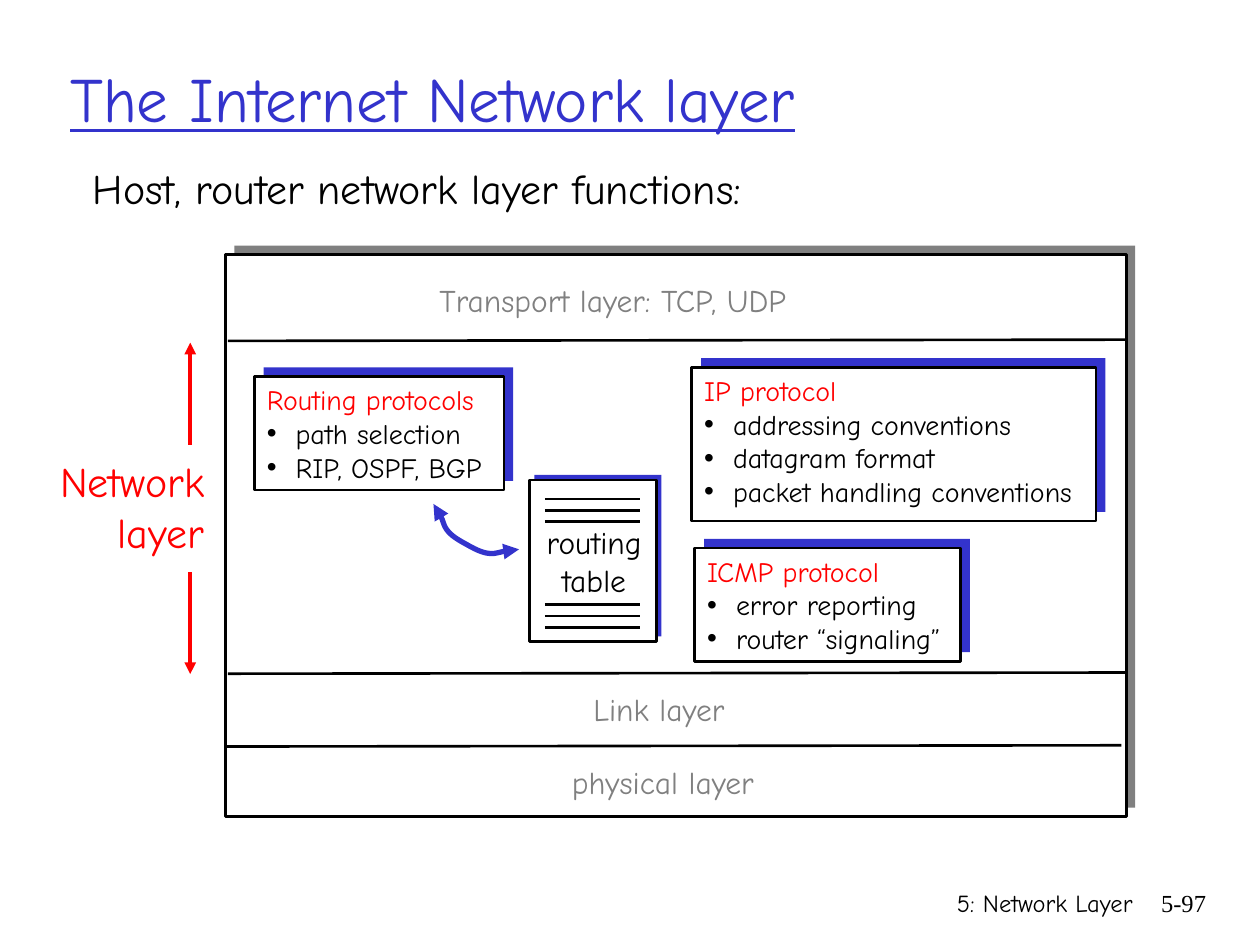
from pptx import Presentation, util as u
from pptx.dml.color import RGBColor
from pptx.enum import shapes, text
from pptx.oxml.ns import qn
from lxml import etree

COLORS = {"ink": "000000", "paper": "FFFFFF", "blue": "3333CC", "red": "FF0000", "gray": "808080"}
LEFT, CENTER, RIGHT = text.PP_ALIGN.LEFT, text.PP_ALIGN.CENTER, text.PP_ALIGN.RIGHT


class SlideMaker:
    """Draw the elements of one slide in a shared style, with lengths in points."""

    font = "Comic Neue"

    def __init__(self, slide):
        self.slide = slide
        self.shapes = slide.shapes

    def color(self, name):
        return RGBColor.from_string(COLORS[name])

    def style(self, para, size, color, align=LEFT, font=None):
        para.alignment = align
        for span in para.runs:
            span.font.size = u.Pt(size)
            span.font.name = font or self.font
            span.font.color.rgb = self.color(color)

    def title(self, words, left, top, width, height):
        box = self.shapes.title
        box.left, box.top, box.width, box.height = map(u.Pt, (left, top, width, height))
        frame = box.text_frame
        frame.text = words
        frame.auto_size = text.MSO_AUTO_SIZE.NONE
        frame.vertical_anchor = text.MSO_ANCHOR.MIDDLE
        self.style(frame.paragraphs[0], 36, "blue")
        frame.paragraphs[0].runs[0].font.underline = True

    def label(self, words, left, top, width, height, size, color="ink", align=LEFT, font=None):
        box = self.shapes.add_textbox(*map(u.Pt, (left, top, width, height)))
        frame = box.text_frame
        frame.word_wrap = True
        frame.text = words
        for para in frame.paragraphs:
            self.style(para, size, color, align, font)
        return frame

    def rectangle(self, left, top, width, height, fill, outlined=False):
        box = self.shapes.add_shape(shapes.MSO_SHAPE.RECTANGLE, *map(u.Pt, (left, top, width, height)))
        box.shadow.inherit = False
        box.fill.solid()
        box.fill.fore_color.rgb = self.color(fill)
        if outlined:
            box.line.color.rgb = self.color("ink")
            box.line.width = u.Pt(1.5)
        else:
            box.line.fill.background()

    def panel(self, left, top, width, height, shade="blue", offset=5.3):
        self.rectangle(left + offset, top - offset, width, height, shade)
        self.rectangle(left, top, width, height, "paper", outlined=True)

    def card(self, heading, points, left, top, width, height):
        self.panel(left, top, width, height)
        frame = self.label("\n".join([heading, *points]), left, top, width, height, 16)
        self.style(frame.paragraphs[0], 16, "red")
        for para in frame.paragraphs[1:]:
            props = para._p.get_or_add_pPr()
            props.set("marL", str(u.Pt(16.5)))
            props.set("indent", str(-u.Pt(16.5)))
            etree.SubElement(props, qn("a:buFont"), typeface="Arial")
            etree.SubElement(props, qn("a:buChar"), char="•")

    def arrowheads(self, line, *ends):
        for end in ends:
            etree.SubElement(line._get_or_add_ln(), qn(f"a:{end}"), type="triangle")

    def line(self, x1, y1, x2, y2, color="ink", width=1.5, arrow=False):
        rule = self.shapes.add_connector(shapes.MSO_CONNECTOR.STRAIGHT, *map(u.Pt, (x1, y1, x2, y2)))
        rule.line.color.rgb = self.color(color)
        rule.line.width = u.Pt(width)
        etree.SubElement(rule._element.spPr, qn("a:effectLst"))
        if arrow:
            self.arrowheads(rule.line, "tailEnd")

    def curve(self, points, color, width):
        start, *rest = [(u.Pt(x), u.Pt(y)) for x, y in points]
        builder = self.shapes.build_freeform(*start)
        builder.add_line_segments(rest, close=False)
        shape = builder.convert_to_shape()
        shape.shadow.inherit = False
        shape.fill.background()
        shape.line.color.rgb = self.color(color)
        shape.line.width = u.Pt(width)
        steps = shape.element.xpath(".//a:lnTo")
        outline = steps[0].getparent()
        for first in range(0, len(steps), 3):
            bend = etree.SubElement(outline, qn("a:cubicBezTo"))
            for step in steps[first:first + 3]:
                bend.append(step[0])
                outline.remove(step)
        self.arrowheads(shape.line, "headEnd", "tailEnd")


def main():
    deck = Presentation()
    deck.slide_width, deck.slide_height = u.Pt(720), u.Pt(540)
    page = SlideMaker(deck.slides.add_slide(deck.slide_layouts[5]))

    page.title("The Internet Network layer", 33, 10.8, 612, 90)
    page.label("Host, router network layer functions:", 46, 89.3, 593, 34.6, 24)

    page.panel(128.9, 145.4, 514.8, 321.1, "gray", 5)
    for left, right, top in ((130.3, 644.4, 194.8), (130.3, 644.4, 385), (128.2, 640.8, 426.6)):
        page.line(left, top, right, top - 0.7)
    for words, left, top, width in (
        ("Transport layer: TCP, UDP", 244, 157, 235.4),
        ("Link layer", 332, 391, 95.8),
        ("physical layer", 319.7, 432.6, 128.2),
    ):
        page.label(words, left, top, width, 28.8, 18, "gray")

    page.panel(302.4, 274.3, 72.7, 92.2, offset=2.9)
    page.label("routing\ntable", 302.4, 295.2, 74.2, 50.4, 18, align=CENTER)
    for first in (285.1, 345.6):
        for step in range(3):
            page.line(311.4, first + 6.5 * step, 365.6, first + 6.5 * step)

    page.card("Routing protocols", ["path selection", "RIP, OSPF, BGP"], 145.4, 215.3, 142.6, 64.8)
    page.card("IP protocol",
              ["addressing conventions", "datagram format", "packet handling conventions"],
              395.3, 210, 231.1, 87.8)
    page.card("ICMP protocol", ["error reporting", "router “signaling”"], 397, 313.2, 151.9, 64.8)
    page.curve([(247.7, 288), (251.3, 290.2), (252.7, 303.8), (266.4, 311),
                (280.1, 319), (290.9, 313.9), (296.6, 313.9)], "blue", 3)

    page.label("Network\nlayer", 12.2, 257, 111.6, 64.8, 24, "red", RIGHT)
    for start, end in ((254.2, 195.8), (326.9, 385.2)):
        page.line(108.7, start, 108.7, end, "red", 2.25, arrow=True)

    page.label("5: Network Layer", 426.2, 504, 228.2, 36, 14, align=RIGHT)
    page.label("5-97", 643, 504, 53.3, 36, 14, align=RIGHT, font="Times New Roman")
    deck.save("out.pptx")


if __name__ == "__main__":
    main()
